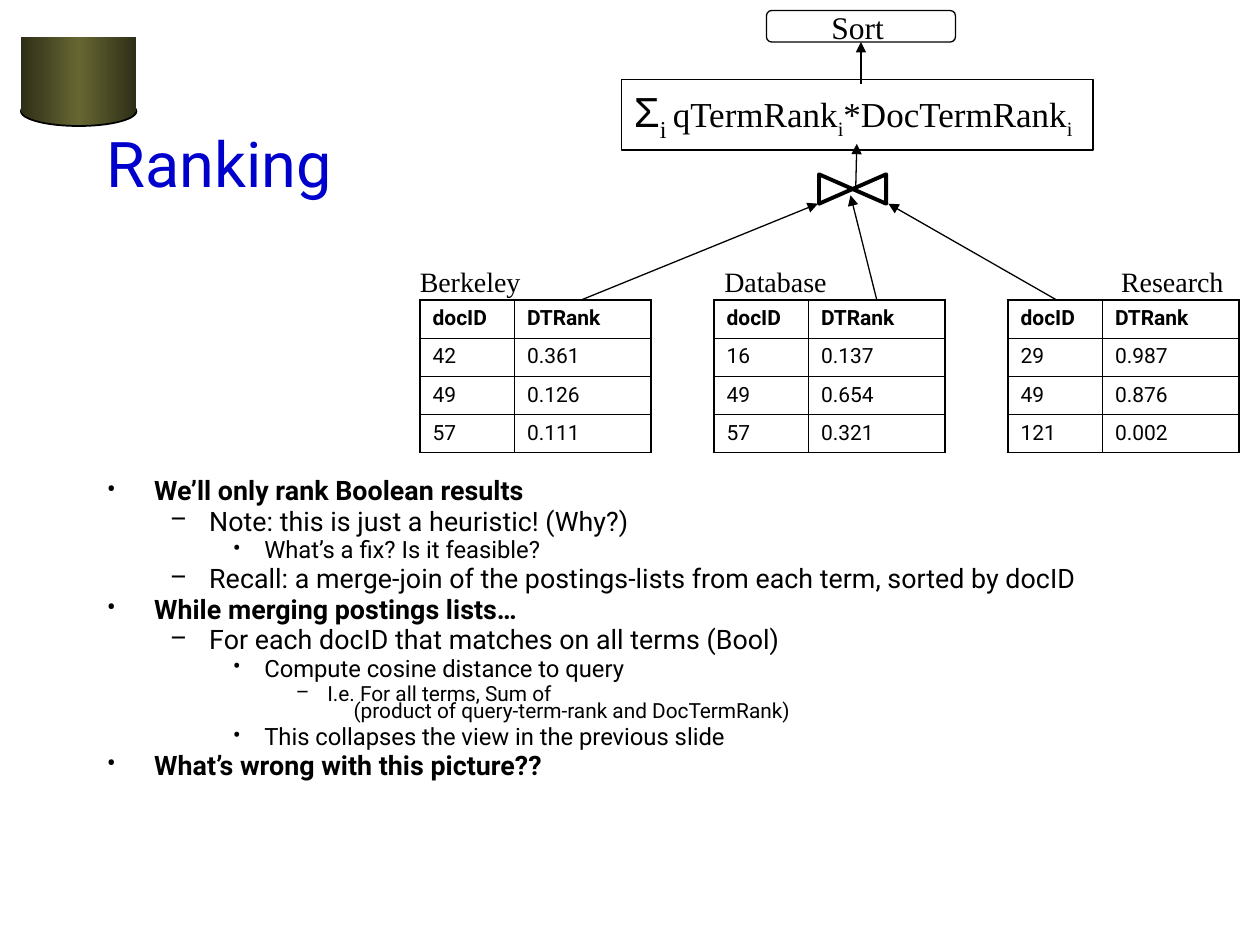
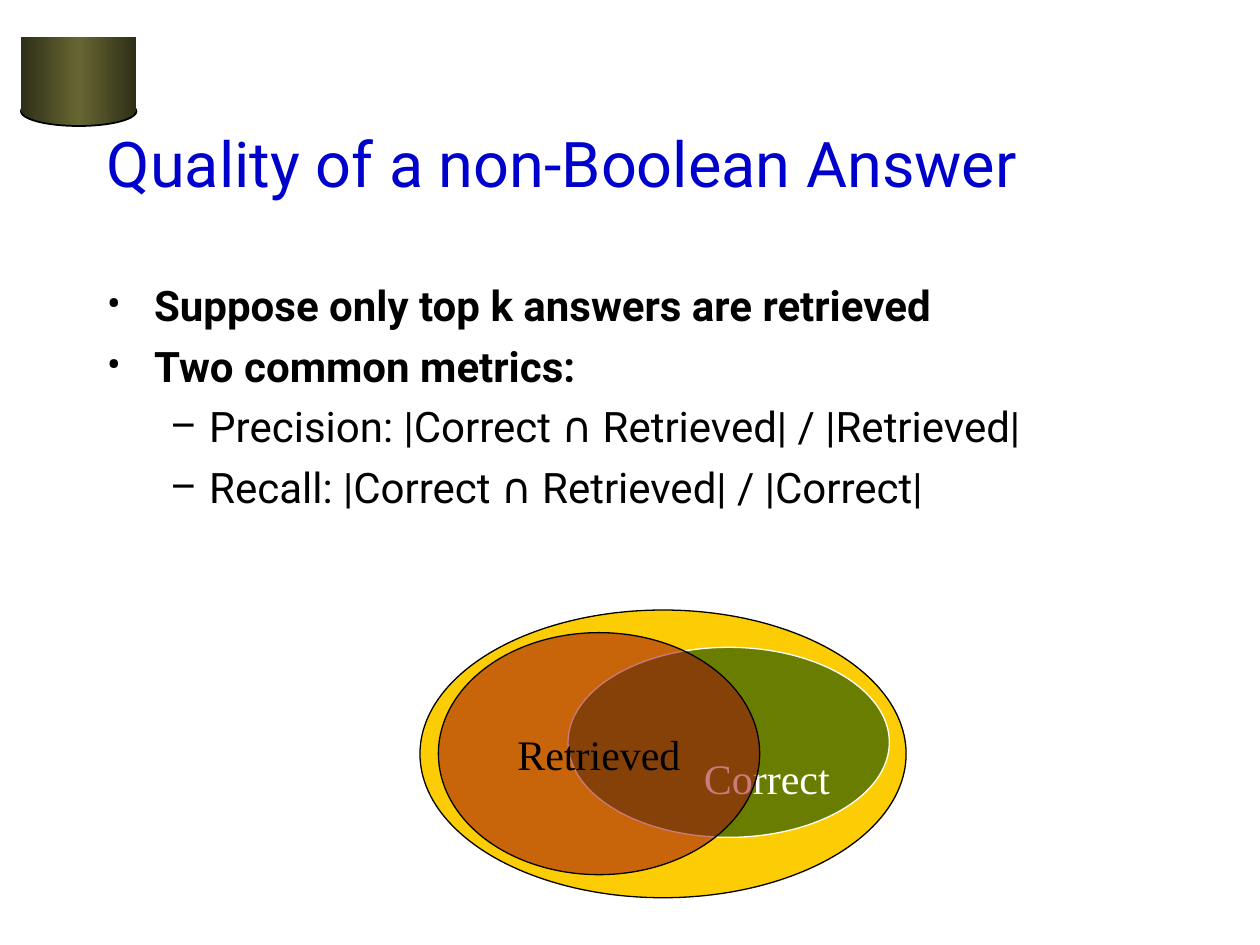
from dataclasses import dataclass
from typing import Any, NamedTuple, Optional

from lxml.etree import SubElement
from pptx import Presentation
from pptx.dml.color import RGBColor
from pptx.enum.shapes import MSO_CONNECTOR, MSO_SHAPE
from pptx.enum.text import MSO_ANCHOR, PP_ALIGN
from pptx.oxml.ns import qn
from pptx.util import Inches, Pt


@dataclass(frozen=True)
class Theme:
    title_font: str = "Roboto"
    label_font: str = "Times New Roman"
    symbol_font: str = "Arial"
    title_color: str = "0000CC"
    ink: str = "000000"
    paper: str = "FFFFFF"
    disk_edge: str = "2F2F18"
    disk_middle: str = "666633"
    answers: str = "FCCD04"
    correct: str = "004500"
    retrieved: str = "9F0F0F"
    title_size: float = 36
    large_size: float = 24
    formula_size: float = 20
    sort_size: float = 18
    label_size: float = 16
    table_size: float = 12
    thin: float = 0.75
    disk_line: float = 1
    thick: float = 2.25
    cell_inner: float = 0.45
    cell_outer: float = 1.08


THEME = Theme()
WIDTH, HEIGHT = Inches(10), Inches(7.5)
COLUMNS = 120


def cells(count: float) -> int:
    return round(WIDTH * count / COLUMNS)


class Area(NamedTuple):
    left: float
    top: float
    width: float
    height: float

    def place(self) -> list[int]:
        return [cells(value) for value in self]


class Span(NamedTuple):
    text: str
    size: float
    font: str = THEME.label_font
    color: str = THEME.ink
    bold: bool = False
    baseline: int = 0


class Look(NamedTuple):
    fill: Optional[str] = None
    line: Optional[str] = THEME.ink
    weight: float = THEME.thin
    opacity: int = 100


class Level(NamedTuple):
    indent: float
    hang: float
    bullet: str


class Point(NamedTuple):
    level: int
    text: str
    continued: bool = False


class Arrow(NamedTuple):
    x1: float
    y1: float
    x2: float
    y2: float


class Posting(NamedTuple):
    term: str
    label_left: float
    ranks: list[tuple[str, str]]


class Scale(NamedTuple):
    sizes: tuple[float, ...]
    gaps: tuple[float, ...]
    line_spacing: float


LEVELS = [Level(4.5, 4.5, "•"), Level(9.75, 3.75, "–"), Level(15, 3, "•"), Level(21, 3, "–")]
CONTINUED_INDENT = 23.5
COMPACT = Scale((15.3, 15.3, 13.6, 11.9), (4.5, 4.5, 4, 3.5), 0.7)
ROOMY = Scale((THEME.large_size,) * 2, (6, 6), 1)
LABEL_FRAME = {"word_wrap": True, "vertical_anchor": MSO_ANCHOR.TOP}

RANKING_POINTS = [
    Point(0, "We’ll only rank Boolean results"),
    Point(1, "Note: this is just a heuristic! (Why?)"),
    Point(2, "What’s a fix? Is it feasible?"),
    Point(1, "Recall: a merge-join of the postings-lists from each term, sorted by docID"),
    Point(0, "While merging postings lists…"),
    Point(1, "For each docID that matches on all terms (Bool)"),
    Point(2, "Compute cosine distance to query"),
    Point(3, "I.e. For all terms, Sum of"),
    Point(3, "(product of query-term-rank and DocTermRank)", continued=True),
    Point(2, "This collapses the view in the previous slide"),
    Point(0, "What’s wrong with this picture??"),
]
QUALITY_POINTS = [
    Point(0, "Suppose only top k answers are retrieved"),
    Point(0, "Two common metrics:"),
    Point(1, "Precision: |Correct ∩ Retrieved| / |Retrieved|"),
    Point(1, "Recall: |Correct ∩ Retrieved| / |Correct|"),
]
POSTINGS = [
    Posting("Berkeley", 38.8, [("42", "0.361"), ("49", "0.126"), ("57", "0.111")]),
    Posting("Database", 67.8, [("16", "0.137"), ("49", "0.654"), ("57", "0.321")]),
    Posting("Research", 105.6, [("29", "0.987"), ("49", "0.876"), ("121", "0.002")]),
]
TABLE_LEFT, TABLE_TOP, TABLE_STEP = 40, 28.55, 28
TABLE_COLUMNS, TABLE_ROW = (9, 13), 3.64
ARROWS = [
    Arrow(55.4, TABLE_TOP, 77.9, 19.4),
    Arrow(83.5, TABLE_TOP, 81, 18.6),
    Arrow(100.6, TABLE_TOP, 84.6, 19.4),
    Arrow(81.5, 18, 81.6, 13.7),
    Arrow(82, 8, 82, 4),
]
FORMULA = [
    Span("Σ", THEME.large_size, THEME.symbol_font),
    Span("i ", THEME.large_size, baseline=-25),
    Span("qTermRank", THEME.formula_size),
    Span("i", THEME.formula_size, baseline=-25),
    Span("*DocTermRank", THEME.formula_size),
    Span("i", THEME.formula_size, baseline=-25),
]


def apply(target: Any, values: dict[str, Any]) -> None:
    for name, value in values.items():
        setattr(target, name, value)


def write(para: Any, spans: list[Span]) -> None:
    for span in spans:
        run = para.add_run()
        run.text = span.text
        apply(run.font, {"size": Pt(span.size), "name": span.font, "bold": span.bold})
        run.font.color.rgb = RGBColor.from_string(span.color)
        if span.baseline:
            run.font._element.set("baseline", str(span.baseline * 1000))


def draw_text(page: Any, area: Area, spans: list[Span], frame: dict[str, Any]) -> None:
    box = page.shapes.add_textbox(*area.place())
    apply(box.text_frame, frame)
    write(box.text_frame.paragraphs[0], spans)


def draw_shape(page: Any, kind: Any, area: Area, look: Look, rotation: float = 0) -> Any:
    shape = page.shapes.add_shape(kind, *area.place())
    shape.shadow.inherit = False
    shape.rotation = rotation
    if look.fill:
        shape.fill.solid()
        shape.fill.fore_color.rgb = RGBColor.from_string(look.fill)
        if look.opacity < 100:
            color = shape._element.spPr.find(qn("a:solidFill"))[0]
            SubElement(color, qn("a:alpha"), val=str(look.opacity * 1000))
    else:
        shape.fill.background()
    if look.line:
        shape.line.color.rgb = RGBColor.from_string(look.line)
        shape.line.width = Pt(look.weight)
    else:
        shape.line.fill.background()
    return shape


def draw_disk(page: Any) -> None:
    parts = [
        (MSO_SHAPE.OVAL, Area(2, 9.2, 11, 2.8), Look(weight=THEME.disk_line)),
        (MSO_SHAPE.RECTANGLE, Area(2, 3.55, 11, 7.1), Look(line=None)),
    ]
    for kind, area, look in parts:
        shape = draw_shape(page, kind, area, look)
        shape.fill.gradient()
        shape.fill.gradient_angle = 0
        stops = shape._element.spPr.find(qn("a:gradFill")).find(qn("a:gsLst"))
        stops[:] = []
        for share, color in ((0, THEME.disk_edge), (50, THEME.disk_middle), (100, THEME.disk_edge)):
            stop = SubElement(stops, qn("a:gs"), pos=str(share * 1000))
            SubElement(stop, qn("a:srgbClr"), val=color)


def add_page(deck: Any, title: str) -> Any:
    page = deck.slides.add_slide(deck.slide_layouts[6])
    page.background.fill.solid()
    page.background.fill.fore_color.rgb = RGBColor.from_string(THEME.paper)
    draw_disk(page)
    span = Span(title, THEME.title_size, THEME.title_font, THEME.title_color)
    frame = {"word_wrap": True, "vertical_anchor": MSO_ANCHOR.MIDDLE}
    draw_text(page, Area(9, 8, 102, 15), [span], frame)
    return page


def draw_points(page: Any, area: Area, points: list[Point], scale: Scale) -> None:
    frame = page.shapes.add_textbox(*area.place()).text_frame
    frame.word_wrap = True
    for index, point in enumerate(points):
        para = frame.add_paragraph() if index else frame.paragraphs[0]
        level = LEVELS[point.level]
        properties = para._p.get_or_add_pPr()
        if point.continued:
            level = Level(CONTINUED_INDENT, 0, "")
            SubElement(properties, qn("a:buNone"))
        else:
            color = SubElement(properties, qn("a:buClr"))
            SubElement(color, qn("a:srgbClr"), val=THEME.ink)
            SubElement(properties, qn("a:buFont"), typeface=THEME.title_font)
            SubElement(properties, qn("a:buChar"), char=level.bullet)
        properties.set("marL", str(cells(level.indent)))
        properties.set("indent", str(-cells(level.hang)))
        gap = scale.gaps[point.level] if index and not point.continued else 0
        apply(para, {"level": point.level, "line_spacing": scale.line_spacing, "space_before": Pt(gap)})
        size = scale.sizes[point.level]
        write(para, [Span(point.text, size, THEME.title_font, bold=point.level == 0)])


def draw_borders(cell: Any, outer: dict[str, bool]) -> None:
    properties = cell._tc.get_or_add_tcPr()
    for side, is_outer in outer.items():
        weight = THEME.cell_outer if is_outer else THEME.cell_inner
        line = SubElement(properties, qn(f"a:ln{side}"), w=str(Pt(weight)))
        fill = SubElement(line, qn("a:solidFill"))
        SubElement(fill, qn("a:srgbClr"), val=THEME.ink)
    cell.fill.background()


def draw_posting(page: Any, posting: Posting, index: int) -> None:
    rows = [("docID", "DTRank"), *posting.ranks]
    last_row, last_column = len(rows) - 1, len(TABLE_COLUMNS) - 1
    area = Area(TABLE_LEFT + index * TABLE_STEP, TABLE_TOP, sum(TABLE_COLUMNS), TABLE_ROW * len(rows))
    table = page.shapes.add_table(len(rows), len(TABLE_COLUMNS), *area.place()).table
    apply(table, {"first_row": False, "horz_banding": False})
    for column, width in zip(table.columns, TABLE_COLUMNS):
        column.width = cells(width)
    for r, values in enumerate(rows):
        table.rows[r].height = cells(TABLE_ROW)
        for c, value in enumerate(values):
            cell = table.cell(r, c)
            span = Span(value, THEME.table_size, THEME.title_font, bold=r == 0)
            write(cell.text_frame.paragraphs[0], [span])
            draw_borders(cell, {"L": c == 0, "R": c == last_column, "T": r == 0, "B": r == last_row})
    label = Span(posting.term, THEME.label_size)
    draw_text(page, Area(posting.label_left, 24.6, 13.5, 4.4), [label], LABEL_FRAME)


def draw_arrow(page: Any, arrow: Arrow) -> None:
    ends = [cells(value) for value in arrow]
    connector = page.shapes.add_connector(MSO_CONNECTOR.STRAIGHT, *ends)
    connector.line.color.rgb = RGBColor.from_string(THEME.ink)
    connector.line.width = Pt(THEME.thin)
    SubElement(connector.line._get_or_add_ln(), qn("a:tailEnd"), type="triangle")
    SubElement(connector._element.spPr, qn("a:effectLst"))


def build_ranking(deck: Any) -> None:
    page = add_page(deck, "Ranking")
    draw_points(page, Area(9, 45.4, 102, 29.9), RANKING_POINTS, COMPACT)
    for index, posting in enumerate(POSTINGS):
        draw_posting(page, posting, index)
    for left, rotation in ((81.4, 270), (78.2, 90)):
        area = Area(left, 16.4, 2.8, 3.2)
        draw_shape(page, MSO_SHAPE.ISOSCELES_TRIANGLE, area, Look(weight=THEME.thick), rotation)
    formula = draw_shape(page, MSO_SHAPE.RECTANGLE, Area(59.2, 7.6, 44.9, 6.7), Look())
    apply(formula.text_frame, LABEL_FRAME)
    formula.text_frame.paragraphs[0].alignment = PP_ALIGN.LEFT
    write(formula.text_frame.paragraphs[0], FORMULA)
    draw_shape(page, MSO_SHAPE.ROUNDED_RECTANGLE, Area(73, 1, 18, 3), Look())
    draw_text(page, Area(78, 0.2, 9, 4.8), [Span("Sort", THEME.sort_size)], LABEL_FRAME)
    for arrow in ARROWS:
        draw_arrow(page, arrow)


def build_quality(deck: Any) -> None:
    page = add_page(deck, "Quality of a non-Boolean Answer")
    draw_points(page, Area(9, 26, 102, 54), QUALITY_POINTS, ROOMY)
    draw_shape(page, MSO_SHAPE.OVAL, Area(40, 58.1, 46.3, 27.4), Look(THEME.answers))
    sets = [
        ("Correct", Area(54.1, 61.65, 30.6, 18.1), Look(THEME.correct, THEME.paper, opacity=58),
         MSO_ANCHOR.BOTTOM, PP_ALIGN.RIGHT),
        ("Retrieved", Area(41.75, 60.25, 30.6, 23.05), Look(THEME.retrieved, opacity=55),
         MSO_ANCHOR.MIDDLE, PP_ALIGN.CENTER),
    ]
    for name, area, look, anchor, alignment in sets:
        oval = draw_shape(page, MSO_SHAPE.OVAL, area, look)
        apply(oval.text_frame, {"word_wrap": False, "vertical_anchor": anchor})
        para = oval.text_frame.paragraphs[0]
        para.alignment = alignment
        write(para, [Span(name, THEME.large_size, color=look.line)])


def main() -> None:
    deck = Presentation()
    apply(deck, {"slide_width": WIDTH, "slide_height": HEIGHT})
    build_ranking(deck)
    build_quality(deck)
    deck.save("out.pptx")


if __name__ == "__main__":
    main()
